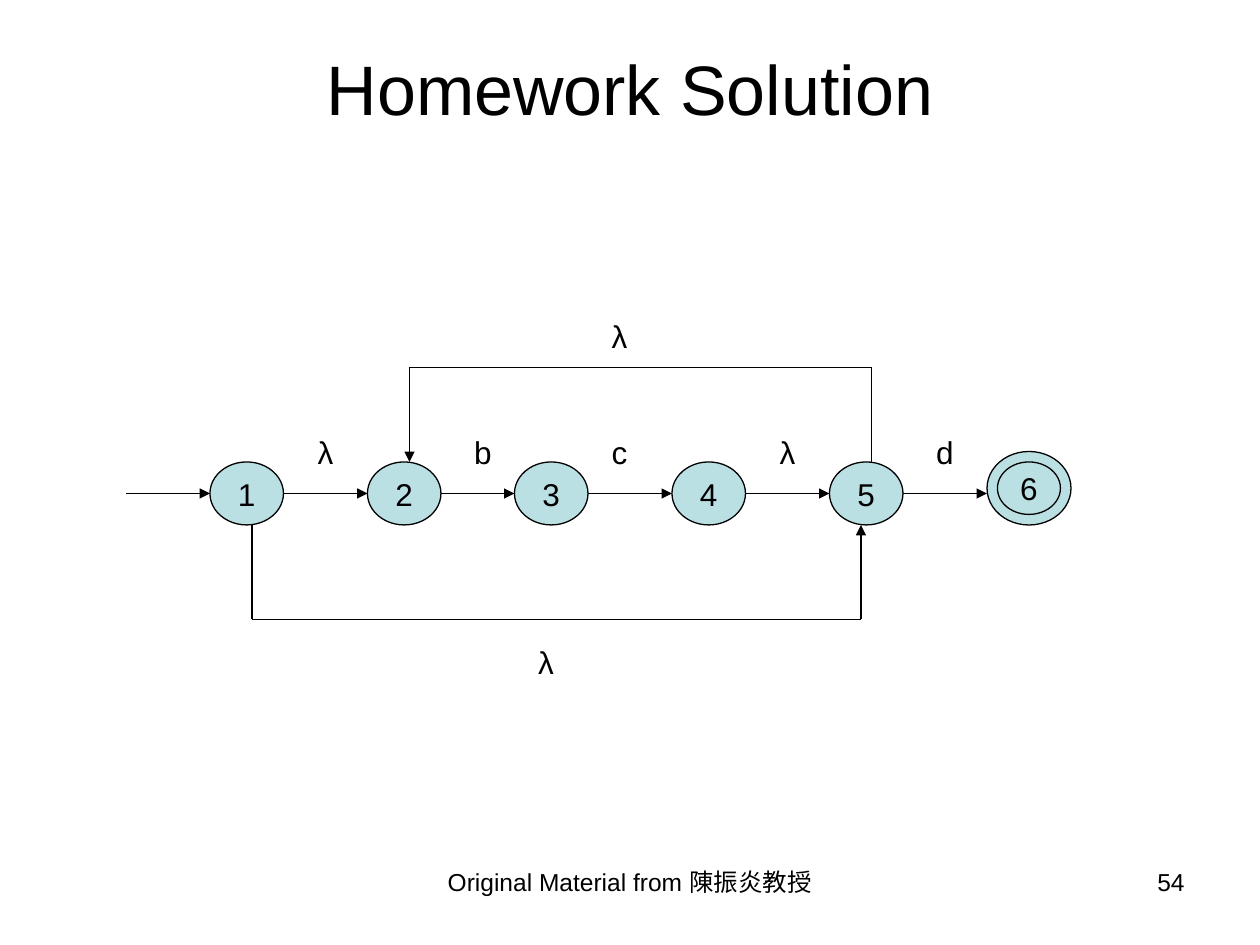
from typing import NamedTuple

from lxml.etree import SubElement
from pptx import Presentation
from pptx.dml.color import RGBColor
from pptx.enum.shapes import MSO_CONNECTOR as Connector, MSO_SHAPE as Preset
from pptx.enum.text import MSO_ANCHOR as Anchor, PP_ALIGN as Align
from pptx.oxml.ns import qn
from pptx.util import Emu, Pt

EMU_PER_PX = 7620  # 120 px to the inch
BLACK = RGBColor(0x00, 0x00, 0x00)
STATE_FILL = RGBColor(0xBB, 0xE0, 0xE3)
FONT = "Arial"
LINE_WIDTH = Pt(0.75)

STATE_TOP, STATE_WIDTH, STATE_HEIGHT = 440, 70, 60
STATE_BOTTOM = STATE_TOP + STATE_HEIGHT
AXIS = STATE_TOP + STATE_HEIGHT // 2
START_X = 120
LABEL_TOP, LABEL_WIDTH, LABEL_HEIGHT = 410, 60, 40


class Area(NamedTuple):
    left: int
    top: int
    width: int
    height: int


class State(NamedTuple):
    name: str
    left: int


class Label(NamedTuple):
    text: str
    left: int
    top: int = LABEL_TOP


class Point(NamedTuple):
    x: int
    y: int


STATES = [State("1", 200), State("2", 350), State("3", 490),
          State("4", 640), State("5", 790)]
FINAL_OUTER = Area(940, 430, 80, 70)
FINAL_INNER = Area(950, 440, 60, 50)
LABELS = [Label("λ", 280), Label("b", 430), Label("c", 560),
          Label("λ", 720), Label("d", 870),
          Label("λ", 560, 300), Label("λ", 490, 610)]
SKIP_PATH = [Point(240, STATE_BOTTOM), Point(240, 590),
             Point(820, 590), Point(820, STATE_BOTTOM)]
LOOP_PATH = [Point(830, STATE_TOP), Point(830, 350),
             Point(390, 350), Point(390, STATE_TOP)]


def px(length: int) -> Emu:
    return Emu(length * EMU_PER_PX)


def write(shape, text: str, *, size: int = 18, align=Align.CENTER,
          anchor=Anchor.MIDDLE, wrap: bool = False) -> None:
    frame = shape.text_frame
    frame.word_wrap = wrap
    frame.vertical_anchor = anchor
    para = frame.paragraphs[0]
    para.alignment = align
    span = para.add_run()
    span.text = text
    span.font.name = FONT
    span.font.size = Pt(size)
    span.font.color.rgb = BLACK


def add_text(shapes, area: Area, text: str, **text_format) -> None:
    write(shapes.add_textbox(*map(px, area)), text, **text_format)


def add_state(shapes, area: Area, name: str = "") -> None:
    oval = shapes.add_shape(Preset.OVAL, *map(px, area))
    oval.shadow.inherit = False
    oval.fill.solid()
    oval.fill.fore_color.rgb = STATE_FILL
    oval.line.color.rgb = BLACK
    oval.line.width = LINE_WIDTH
    if name:
        write(oval, name)


def add_line(shapes, start: Point, end: Point, arrow: bool = True) -> None:
    line = shapes.add_connector(Connector.STRAIGHT, *map(px, start + end))
    line.line.color.rgb = BLACK
    line.line.width = LINE_WIDTH
    if arrow:
        SubElement(line.line._get_or_add_ln(), qn("a:tailEnd"), type="triangle")
    SubElement(line._element.spPr, qn("a:effectLst"))


def add_bent_arrow(shapes, points: list[Point]) -> None:
    for start, end in zip(points, points[1:]):
        add_line(shapes, start, end, arrow=end == points[-1])


def main() -> None:
    deck = Presentation()
    deck.slide_width, deck.slide_height = px(1200), px(900)
    page = deck.slides.add_slide(deck.slide_layouts[6])
    shapes = page.shapes

    # Title
    add_text(shapes, Area(60, 36, 1080, 94), "Homework Solution", size=40, wrap=True)

    # States, the last one with a double ring
    for state in STATES:
        add_state(shapes, Area(state.left, STATE_TOP, STATE_WIDTH, STATE_HEIGHT), state.name)
    final_state = shapes.add_group_shape().shapes
    add_state(final_state, FINAL_OUTER)
    add_state(final_state, FINAL_INNER, "6")

    # Arrows along the axis, then the two detours
    exits = [START_X] + [state.left + STATE_WIDTH for state in STATES]
    entries = [state.left for state in STATES] + [FINAL_OUTER.left]
    for leave, enter in zip(exits, entries):
        add_line(shapes, Point(leave, AXIS), Point(enter, AXIS))
    add_bent_arrow(shapes, SKIP_PATH)
    add_bent_arrow(shapes, LOOP_PATH)

    # Transition labels
    for label in LABELS:
        add_text(shapes, Area(label.left, label.top, LABEL_WIDTH, LABEL_HEIGHT), label.text)

    # Footer and page number
    add_text(shapes, Area(410, 820, 380, 62), "Original Material from 陳振炎教授",
             size=14, anchor=Anchor.TOP, wrap=True)
    add_text(shapes, Area(860, 820, 280, 62), "54",
             size=14, align=Align.RIGHT, anchor=Anchor.TOP, wrap=True)

    deck.save("out.pptx")


if __name__ == "__main__":
    main()
